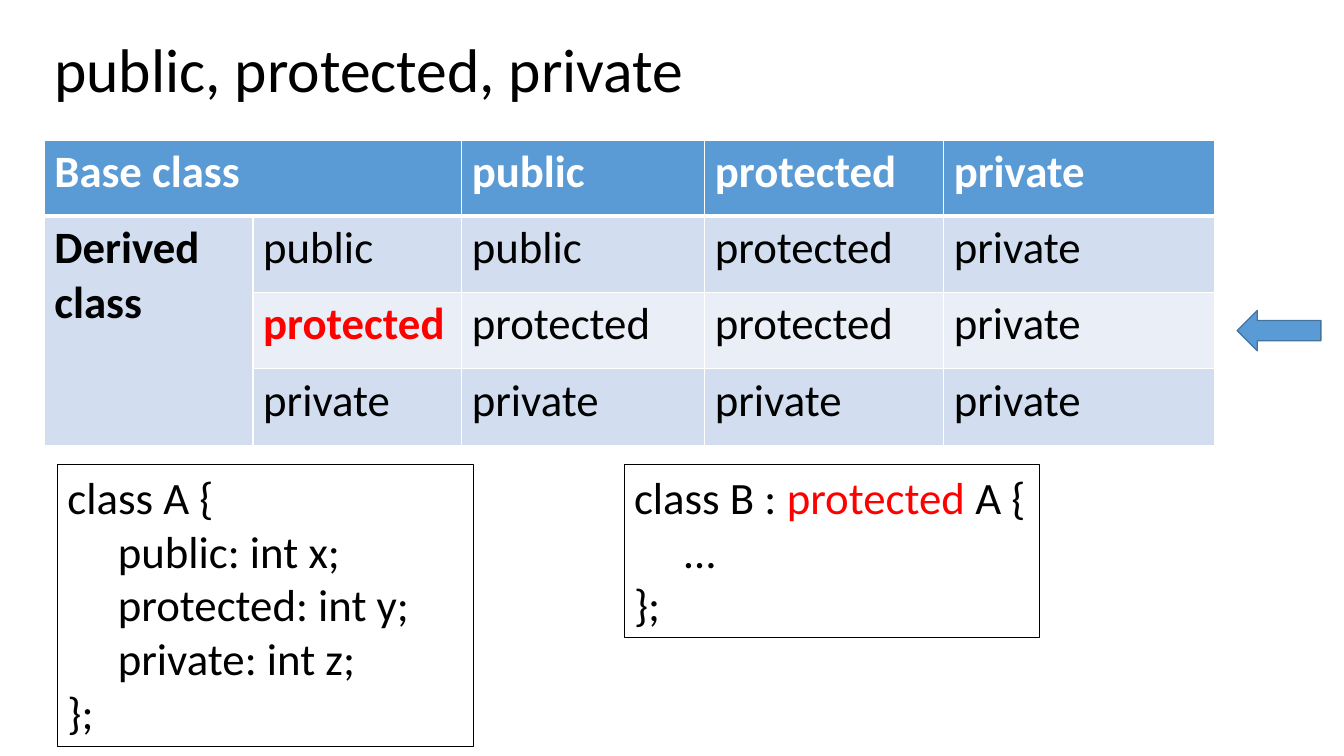
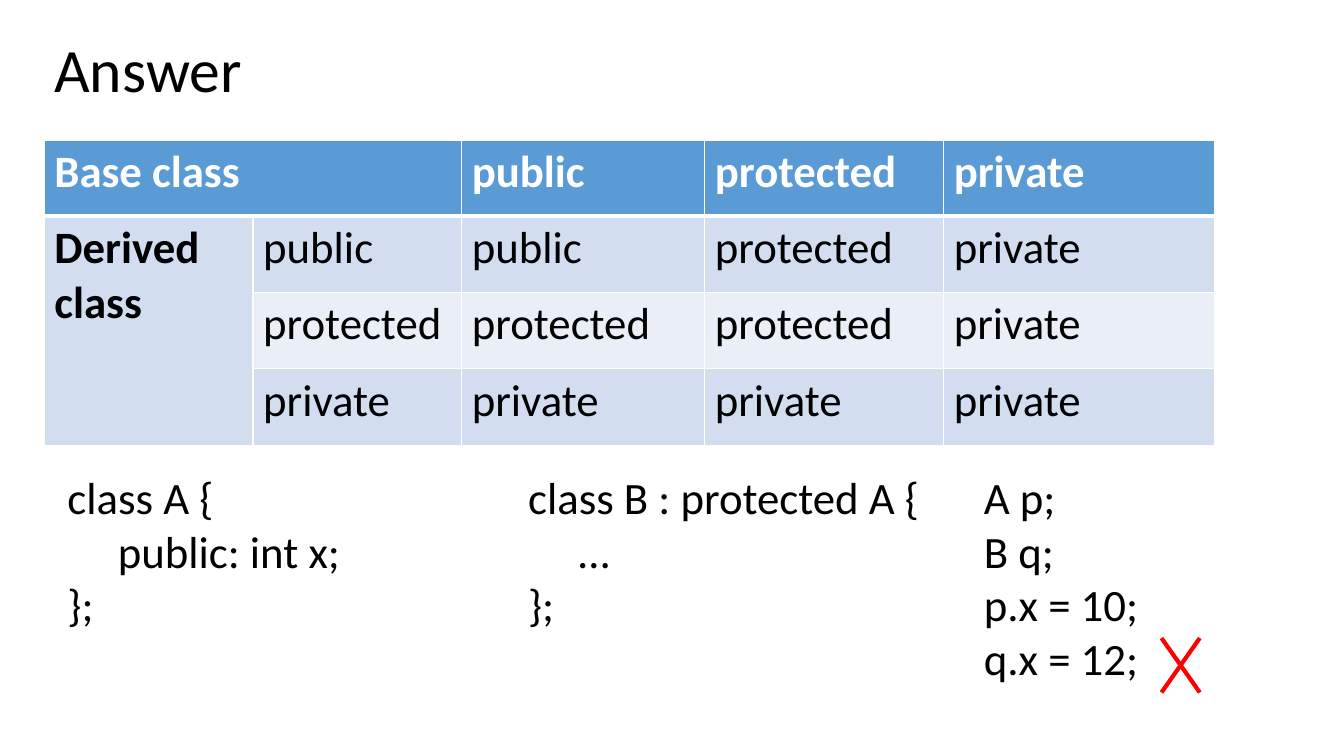
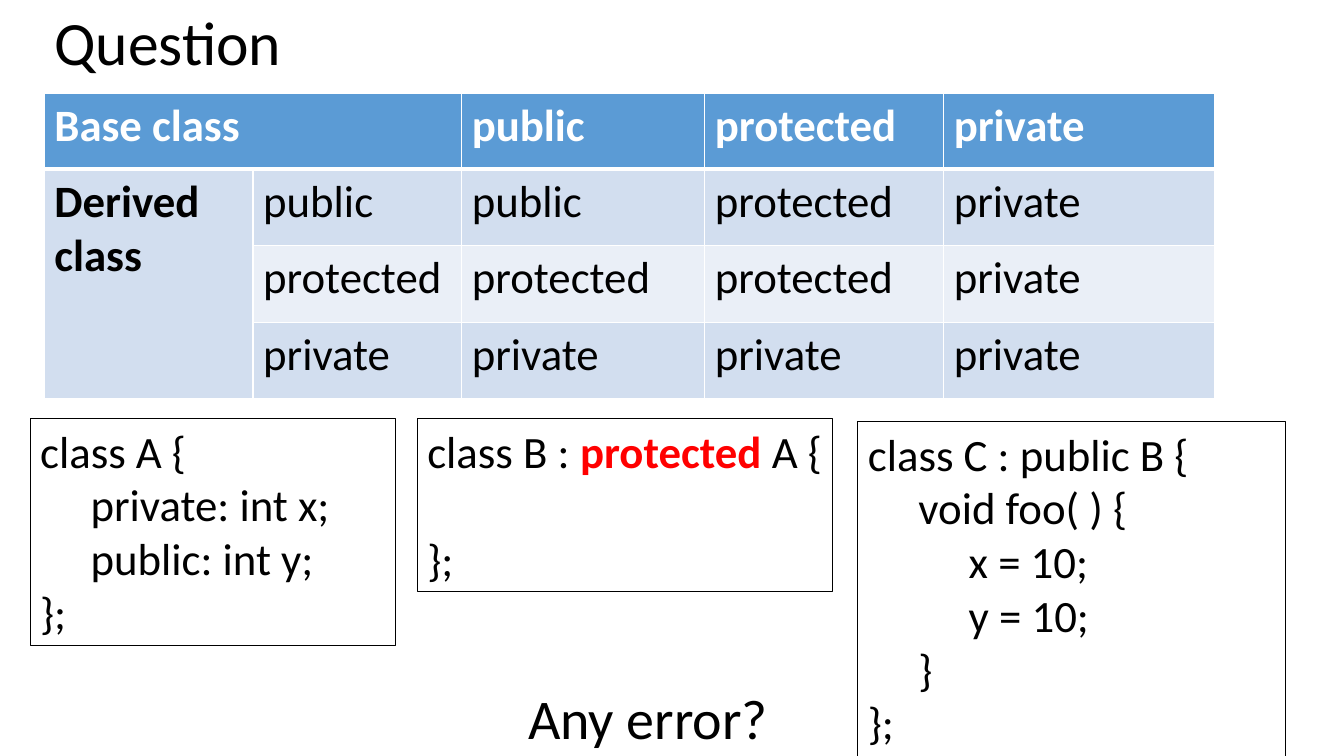
import pptx
import pptx.util
import pptx.dml.color
import pptx.enum.shapes
import pptx.enum.text
import pptx.oxml.ns
from lxml import etree

COLORS = {
    "black": "000000", "white": "FFFFFF", "red": "FF0000",
    "header": "5B9BD5", "band": "D2DEEF", "light": "EAEFF7", "outline": "43739E",
}
FONT = "Calibri"
CODE_SIZE = 32
CODE_LINE = 39          # height of one code line, in points
SLIDE_WIDTH = pptx.util.Inches(13.33)
SLIDE_HEIGHT = pptx.util.Inches(7.5)

# Shares of the slide, in percent
LEFT = 3.3
TABLE_TOP = 18.53
CODE_TOP = 61.47
COLUMN_SHARES = [15.53, 15.53, 18.08, 17.78, 20.18]
ROW_SHARES = [10, 10.13, 10.13, 10.13]

ACCESS_ROWS = [
    ["Base class", "", "public", "protected", "private"],
    ["Derived\nclass", "public", "public", "protected", "private"],
    ["", "protected", "protected", "protected", "private"],
    ["", "private", "private", "private", "private"],
]
ROW_FILLS = ["header", "band", "light", "band"]


def across(share):
    return round(SLIDE_WIDTH * share / 100)


def down(share):
    return round(SLIDE_HEIGHT * share / 100)


def place(left, top, width, height):
    return across(left), down(top), across(width), down(height)


def rgb(name):
    return pptx.dml.color.RGBColor.from_string(COLORS[name])


def style(para, size=CODE_SIZE, color="black", bold=False):
    para.alignment = pptx.enum.text.PP_ALIGN.LEFT
    para.font.name = FONT
    para.font.size = pptx.util.Pt(size)
    para.font.bold = bold
    para.font.color.rgb = rgb(color)


# Text
def add_title(page, text, top=0):
    box = page.shapes.add_textbox(*place(LEFT, top, 86.25, 19.33))
    frame = box.text_frame
    frame.word_wrap = True
    frame.vertical_anchor = pptx.enum.text.MSO_ANCHOR.MIDDLE
    para = frame.paragraphs[0]
    para.text = text
    para.line_spacing = 0.9
    style(para, 44)


def write_line(para, line, keyword, bold):
    """Write a code line, with the keyword in red."""
    before, found, after = line.partition(keyword) if keyword else (line, "", "")
    for text in filter(None, (before, found, after)):
        span = para.add_run()
        span.text = text
        if found and text == found:
            span.font.color.rgb = rgb("red")
            if bold:
                span.font.bold = True


def add_code(page, left, top, width, lines, framed=True, keyword="", bold=False):
    """Add a code box as tall as its lines; an empty line becomes a gap."""
    area = place(left, top, width, 1.4 + 7.17 * len(lines))
    if framed:
        box = page.shapes.add_shape(pptx.enum.shapes.MSO_SHAPE.RECTANGLE, *area)
        box.shadow.inherit = False
        box.fill.background()
        box.line.color.rgb = rgb("black")
        box.line.width = pptx.util.Pt(0.75)
    else:
        box = page.shapes.add_textbox(*area)
    frame = box.text_frame
    frame.word_wrap = True
    frame.vertical_anchor = pptx.enum.text.MSO_ANCHOR.TOP
    para, gap = None, 0
    for line in lines:
        if not line:
            gap += CODE_LINE
            continue
        para = frame.add_paragraph() if para is not None else frame.paragraphs[0]
        style(para)
        if gap:
            para.space_before = pptx.util.Pt(gap)
            gap = 0
        write_line(para, line, keyword, bold)


# Table
def set_borders(cell, widths):
    properties = cell._tc.get_or_add_tcPr()
    for side, width in widths.items():
        line = etree.SubElement(properties, pptx.oxml.ns.qn(f"a:ln{side}"),
                                w=str(pptx.util.Pt(width)))
        fill = etree.SubElement(line, pptx.oxml.ns.qn("a:solidFill"))
        etree.SubElement(fill, pptx.oxml.ns.qn("a:srgbClr"), val=COLORS["white"])


def add_access_table(page, top=TABLE_TOP, marked=None):
    area = place(LEFT, top, sum(COLUMN_SHARES), sum(ROW_SHARES))
    table = page.shapes.add_table(len(ROW_SHARES), len(COLUMN_SHARES), *area).table
    table.first_row = table.horz_banding = False
    for column, share in zip(table.columns, COLUMN_SHARES):
        column.width = across(share)
    for row, share in zip(table.rows, ROW_SHARES):
        row.height = down(share)
    table.cell(0, 0).merge(table.cell(0, 1))
    table.cell(1, 0).merge(table.cell(3, 0))
    for r, texts in enumerate(ACCESS_ROWS):
        for c, text in enumerate(texts):
            cell = table.cell(r, c)
            set_borders(cell, {"L": 1, "R": 1, "T": 3 if r == 1 else 1,
                               "B": 3 if r == 0 else 1})
            cell.fill.solid()
            cell.fill.fore_color.rgb = rgb(ROW_FILLS[r])
            if not text:
                continue
            cell.text_frame.text = text
            is_marked = (r, c) == marked
            color = "white" if r == 0 else "red" if is_marked else "black"
            for para in cell.text_frame.paragraphs:
                style(para, color=color, bold=r == 0 or c == 0 or is_marked)


# Marks
def add_row_arrow(page):
    arrow = page.shapes.add_shape(pptx.enum.shapes.MSO_SHAPE.LEFT_ARROW,
                                  *place(92.05, 41.07, 6.23, 5.33))
    arrow.shadow.inherit = False
    arrow.fill.solid()
    arrow.fill.fore_color.rgb = rgb("header")
    arrow.line.color.rgb = rgb("outline")
    arrow.line.width = pptx.util.Pt(1)


def add_cross(page, left, top, right, bottom):
    cross = page.shapes.add_group_shape()
    for start, end in ((right, left), (left, right)):
        stroke = cross.shapes.add_connector(
            pptx.enum.shapes.MSO_CONNECTOR.STRAIGHT,
            across(start), down(top), across(end), down(bottom))
        stroke.line.color.rgb = rgb("red")
        stroke.line.width = pptx.util.Pt(3)
        etree.SubElement(stroke._element.spPr, pptx.oxml.ns.qn("a:effectLst"))


# Slides
def build_access_slide(page):
    add_title(page, "public, protected, private")
    add_access_table(page, marked=(2, 1))
    add_row_arrow(page)
    add_code(page, 46.44, CODE_TOP, 30.91,
             ["class B : protected A {", "\t…", "};"], keyword="protected")
    add_code(page, 4.28, CODE_TOP, 30.98,
             ["class A {", "\tpublic: int x;", "\tprotected: int y;",
              "\tprivate: int z;", "};"])


def build_answer_slide(page):
    add_access_table(page)
    add_code(page, 38.56, CODE_TOP, 30.91,
             ["class B : protected A {", "\t…", "};"], framed=False)
    add_code(page, 4.28, CODE_TOP, 26.03,
             ["class A {", "\tpublic: int x;", "};"], framed=False)
    add_code(page, 72.47, CODE_TOP, 13.43,
             ["A p;", "B q;", "p.x = 10;", "q.x = 12;"], framed=False)
    add_cross(page, 86.42, 84.4, 89.27, 91.6)
    add_title(page, "Answer")


def build_question_slide(page):
    add_access_table(page, top=12.4)
    add_code(page, 31.06, 55.33, 30.91,
             ["class B : protected A {", "", "};"], keyword="protected", bold=True)
    add_code(page, 2.25, 55.33, 27.16,
             ["class A {", "\tprivate: int x;", "\tpublic: int y;", "};"])
    add_code(page, 63.84, 55.73, 31.81,
             ["class C : public B {", "\tvoid foo( ) {", "\t\tx = 10;",
              "\t\ty = 10;", "\t}", "};"])
    add_title(page, "Question", top=-3.6)
    prompt = page.shapes.add_textbox(*place(38.56, 89.73, 19.58, 10.27))
    prompt.text_frame.word_wrap = True
    para = prompt.text_frame.paragraphs[0]
    para.text = "Any error?"
    style(para, 40)


def main():
    deck = pptx.Presentation()
    deck.slide_width, deck.slide_height = SLIDE_WIDTH, SLIDE_HEIGHT
    for build in (build_access_slide, build_answer_slide, build_question_slide):
        build(deck.slides.add_slide(deck.slide_layouts[6]))
    deck.save("out.pptx")


if __name__ == "__main__":
    main()
